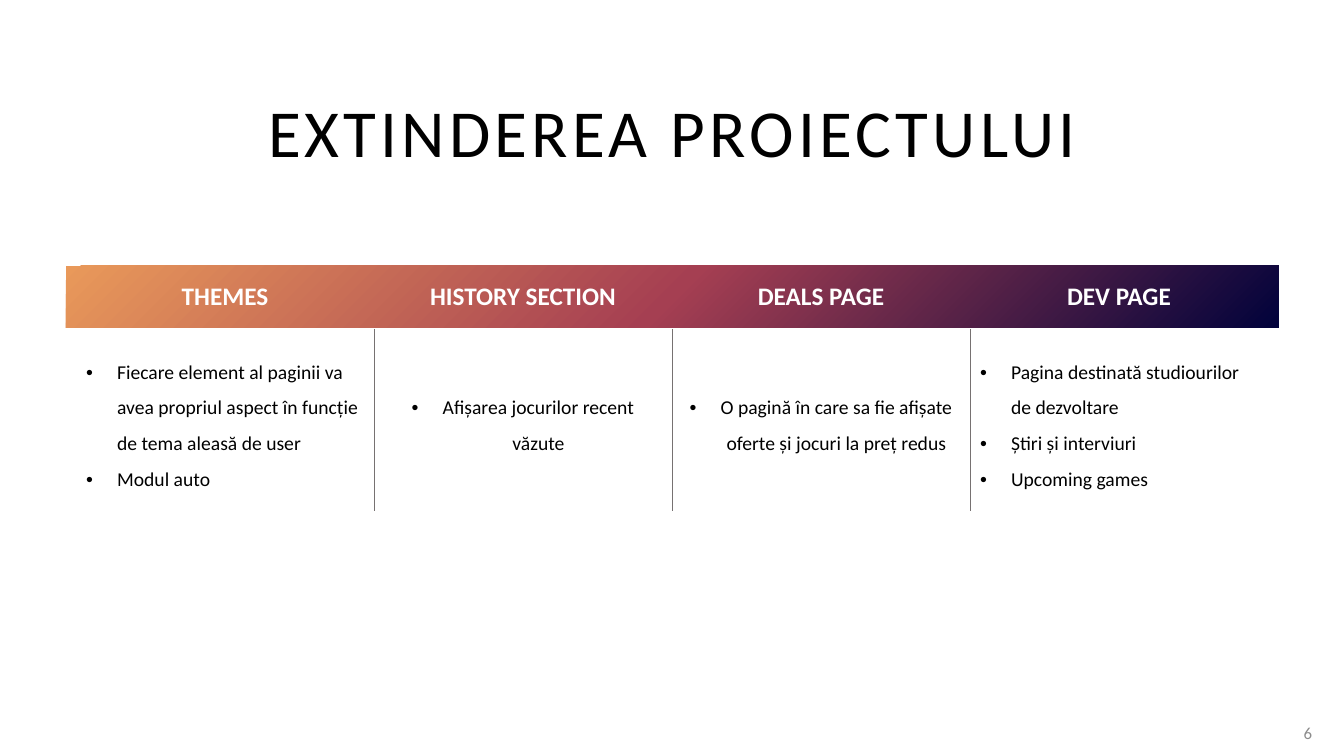
"""Build the project extension slide: a title, a gradient band and a four-column table."""
from dataclasses import dataclass

from pptx import Presentation, util as u
from pptx.dml.color import RGBColor
from pptx.enum import shapes, text
from pptx.oxml import parse_xml
from pptx.oxml.ns import nsdecls

PX = 914400 / 100.8
FONT = "Calibri"
COLORS = {"ink": "000000", "header": "FFFFFF", "rule": "767171", "number": "8C8C8C"}
BAND_STOPS = {0: "01023B", 50: "A53F52", 100: "E9995A"}
PLAIN_TABLE = "{2D5ABB26-0587-4C30-8999-92F81FD0307C}"
LEFT, CENTER, RIGHT = text.PP_ALIGN.LEFT, text.PP_ALIGN.CENTER, text.PP_ALIGN.RIGHT
COLUMN_WIDTH, ROW_HEIGHTS, BULLET_INDENT = 298, (64, 182), 31


@dataclass
class Extension:
    heading: str
    points: tuple[str, ...]
    align: text.PP_ALIGN = LEFT


EXTENSIONS = (
    Extension("THEMES", ("Fiecare element al paginii va avea propriul aspect în funcție "
                         "de tema aleasă de user", "Modul auto")),
    Extension("HISTORY SECTION", ("Afișarea jocurilor recent văzute",), CENTER),
    Extension("DEALS PAGE", ("O pagină în care sa fie afișate oferte și jocuri "
                             "la preț redus",), CENTER),
    Extension("DEV PAGE", ("Pagina destinată studiourilor de dezvoltare",
                           "Știri și interviuri", "Upcoming games")),
)


def px(length: float) -> u.Emu:
    return u.Emu(round(length * PX))


def write(frame, *lines: str, size: float, color: str, align=LEFT, bold: bool = False,
          spacing: int = 0, line_spacing: float = 1.0, bullet: bool = False) -> None:
    frame.word_wrap = True
    for index, line in enumerate(lines):
        paragraph = frame.add_paragraph() if index else frame.paragraphs[0]
        paragraph.alignment = align
        paragraph.line_spacing = line_spacing
        run = paragraph.add_run()
        run.text = line
        run.font.name, run.font.size, run.font.bold = FONT, u.Pt(size), bold
        run.font.color.rgb = RGBColor.from_string(COLORS[color])
        if spacing:
            run.font._element.set("spc", str(spacing * 100))
        if bullet:
            properties = paragraph._p.get_or_add_pPr()
            properties.set("marL", str(px(BULLET_INDENT)))
            properties.set("indent", str(-px(BULLET_INDENT)))
            properties.append(parse_xml(f'<a:buFont {nsdecls("a")} typeface="Arial"/>'))
            properties.append(parse_xml(f'<a:buChar {nsdecls("a")} char="•"/>'))


def add_label(slide, box: tuple[int, int, int, int], line: str, **style) -> None:
    frame = slide.shapes.add_textbox(*map(px, box)).text_frame
    frame.vertical_anchor = text.MSO_ANCHOR.MIDDLE
    write(frame, line, **style)


def add_band(slide) -> None:
    band = slide.shapes.add_shape(shapes.MSO_SHAPE.RECTANGLE, *map(px, (66, 266, 1213, 62)))
    band.shadow.inherit = False
    band.line.fill.background()
    stops = "".join(f'<a:gs pos="{position * 1000}"><a:srgbClr val="{color}"/></a:gs>'
                    for position, color in BAND_STOPS.items())
    band._element.spPr.find("{*}prstGeom").addnext(parse_xml(
        f'<a:gradFill {nsdecls("a")} rotWithShape="1"><a:gsLst>{stops}</a:gsLst>'
        '<a:path path="circle"><a:fillToRect l="100000" t="100000"/></a:path></a:gradFill>'))


def add_rules(cell, sides: list[str]) -> None:
    properties = cell._tc.get_or_add_tcPr()
    for position, side in enumerate(sides):
        properties.insert(position, parse_xml(
            f'<a:{side} {nsdecls("a")} w="{u.Pt(0.25)}"><a:solidFill>'
            f'<a:srgbClr val="{COLORS["rule"]}"/></a:solidFill></a:{side}>'))


def add_extensions(slide) -> None:
    count = len(EXTENSIONS)
    table = slide.shapes.add_table(2, count, px(76), px(265), px(COLUMN_WIDTH * count),
                                   px(sum(ROW_HEIGHTS))).table
    table.first_row = table.horz_banding = False
    table._tbl.tblPr.find("{*}tableStyleId").text = PLAIN_TABLE
    for row, height in zip(table.rows, ROW_HEIGHTS):
        row.height = px(height)
    for index, extension in enumerate(EXTENSIONS):
        table.columns[index].width = px(COLUMN_WIDTH)
        heading, details = table.cell(0, index), table.cell(1, index)
        for cell in (heading, details):
            cell.vertical_anchor = text.MSO_ANCHOR.MIDDLE
            cell.fill.background()
        write(heading.text_frame, extension.heading, size=18, color="header",
              align=CENTER, bold=True)
        write(details.text_frame, *extension.points, size=14, color="ink",
              align=extension.align, line_spacing=1.5, bullet=True)
        add_rules(details, ["lnL"] * (index > 0) + ["lnR"] * (index < count - 1))


def main() -> None:
    deck = Presentation()
    deck.slide_width, deck.slide_height = px(1344), px(756)
    slide = deck.slides.add_slide(deck.slide_layouts[6])
    add_band(slide)
    add_label(slide, (66, 85, 1213, 91), "EXTINDEREA PROIECTULUI",
              size=48, color="ink", align=CENTER, spacing=3)
    add_extensions(slide)
    add_label(slide, (1273, 713, 49, 40), "6", size=12, color="number", align=RIGHT)
    deck.save("out.pptx")


main()
